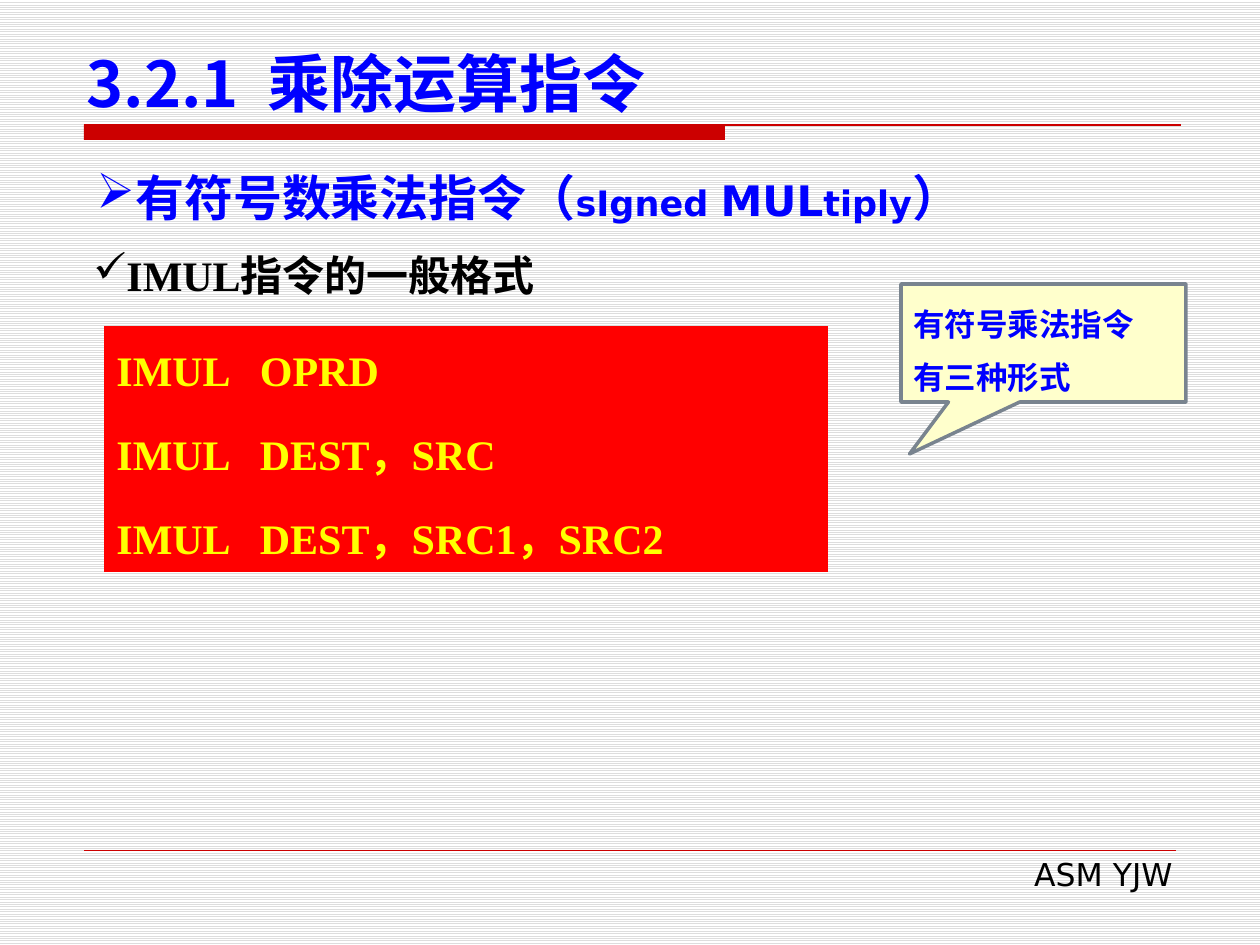
from lxml import etree
from pptx import Presentation
from pptx.dml.color import RGBColor
from pptx.enum.dml import MSO_PATTERN
from pptx.enum.shapes import MSO_CONNECTOR, MSO_SHAPE
from pptx.enum.text import MSO_ANCHOR, PP_ALIGN
from pptx.oxml.ns import qn
from pptx.util import Emu, Pt

STRIPES = MSO_PATTERN.LIGHT_HORIZONTAL
STRAIGHT = MSO_CONNECTOR.STRAIGHT
RECT, CALLOUT = MSO_SHAPE.RECTANGLE, MSO_SHAPE.RECTANGULAR_CALLOUT
TOP, MIDDLE, BOTTOM = MSO_ANCHOR.TOP, MSO_ANCHOR.MIDDLE, MSO_ANCHOR.BOTTOM
LEFT, RIGHT, JUSTIFY = PP_ALIGN.LEFT, PP_ALIGN.RIGHT, PP_ALIGN.JUSTIFY

EMU_PER_PX = 914400 / 126
CJK, SANS, SERIF = "Noto Sans CJK SC", "DejaVu Sans", "Times New Roman"
BLUE, RED, BLACK = "0000FF", "CC0000", "000000"


def px(n):
    """Convert pixels to EMU."""
    return Emu(round(n * EMU_PER_PX))


def rgb(value):
    """Return the colour for a hex string."""
    return RGBColor.from_string(value)


def format_run(r, size, font, color, bold):
    """Set size, typefaces, colour and weight of a run."""
    r.font.size, r.font.bold, r.font.name = Pt(size), bold, font
    r.font.color.rgb = rgb(color)
    ea = etree.SubElement(r._r.get_or_add_rPr(), qn("a:ea"))
    ea.set("typeface", CJK)


def write(sp, lines, font, color, bold=True, align=LEFT, anchor=TOP,
          leading=None, gap=0, bullet=None):
    """Fill a shape with lines, each a list of (text, size) runs."""
    tf = sp.text_frame
    tf.word_wrap, tf.vertical_anchor = True, anchor
    for i, runs in enumerate(lines):
        p = tf.paragraphs[0] if i == 0 else tf.add_paragraph()
        p.alignment = align
        if leading:
            p.line_spacing = Pt(leading)
        if i and gap:
            p.space_before = Pt(gap)
        if bullet:
            pPr = p._p.get_or_add_pPr()
            pPr.set("marL", "0")
            pPr.set("indent", "0")
            etree.SubElement(pPr, qn("a:buChar")).set("char", bullet)
        for text, size in runs:
            r = p.add_run()
            r.text = text
            format_run(r, size, font, color, bold)


def add_text(s, x, y, w, h, lines, font, color, **style):
    """Add a text box."""
    sp = s.shapes.add_textbox(px(x), px(y), px(w), px(h))
    write(sp, lines, font, color, **style)


def add_box(s, kind, x, y, w, h, fill, line=None, width=2):
    """Add a filled preset shape, outlined only when a line colour is given."""
    sp = s.shapes.add_shape(kind, px(x), px(y), px(w), px(h))
    sp.shadow.inherit = False
    sp.fill.solid()
    sp.fill.fore_color.rgb = rgb(fill)
    if line:
        sp.line.color.rgb, sp.line.width = rgb(line), Pt(width)
    else:
        sp.line.fill.background()
    return sp


def add_rule(s, x1, x2, y, width):
    """Add a horizontal red line."""
    line = s.shapes.add_connector(STRAIGHT, px(x1), px(y), px(x2), px(y))
    line.line.color.rgb, line.line.width = rgb(RED), Pt(width)
    etree.SubElement(line._element.spPr, qn("a:effectLst"))


def main():
    """Build the slide and save it."""
    prs = Presentation()
    prs.slide_width, prs.slide_height = px(1260), px(945)
    s = prs.slides.add_slide(prs.slide_layouts[6])
    bg = s.background.fill
    bg.patterned()
    bg.pattern = STRIPES
    bg.fore_color.rgb, bg.back_color.rgb = rgb("DDDDDD"), rgb("FFFFFF")

    add_box(s, RECT, 84, 125, 641, 15, RED)
    add_rule(s, 84, 1181, 125, 0.75)
    add_rule(s, 84, 1176, 850, 0.25)
    add_text(s, 481, 849, 704, 50, [[("ASM YJW", 18)]], SANS, BLACK,
             bold=False, align=RIGHT)

    add_text(s, 74, 37, 1142, 89, [[("3.2.1  乘除运算指令", 36)]], CJK, BLUE,
             anchor=BOTTOM)
    add_text(s, 81, 243, 924, 63, [[("IMUL指令的一般格式", 24)]], SERIF, BLACK,
             bullet="✓")

    formats = ["IMUL   OPRD", "IMUL   DEST，SRC", "IMUL   DEST，SRC1，SRC2"]
    box = add_box(s, RECT, 104, 326, 724, 246, "FF0000")
    write(box, [[(text, 24)] for text in formats], SERIF, "FFFF00",
          leading=36, gap=12)

    heading = [("有符号数乘法指令（", 28), ("sIgned ", 20), ("MUL", 24),
               ("tiply", 20), ("）", 28)]
    add_text(s, 84, 161, 1091, 72, [heading], SANS, BLUE, align=JUSTIFY,
             bullet="➢")

    note = add_box(s, CALLOUT, 901, 284, 285, 118, "FFFFCC", "79848F")
    note.adjustments[0], note.adjustments[1] = -0.47, 0.94
    write(note, [[("有符号乘法指令", 18)], [("有三种形式", 18)]], SANS, BLUE,
          anchor=MIDDLE, leading=30)

    prs.save("out.pptx")


if __name__ == "__main__":
    main()
